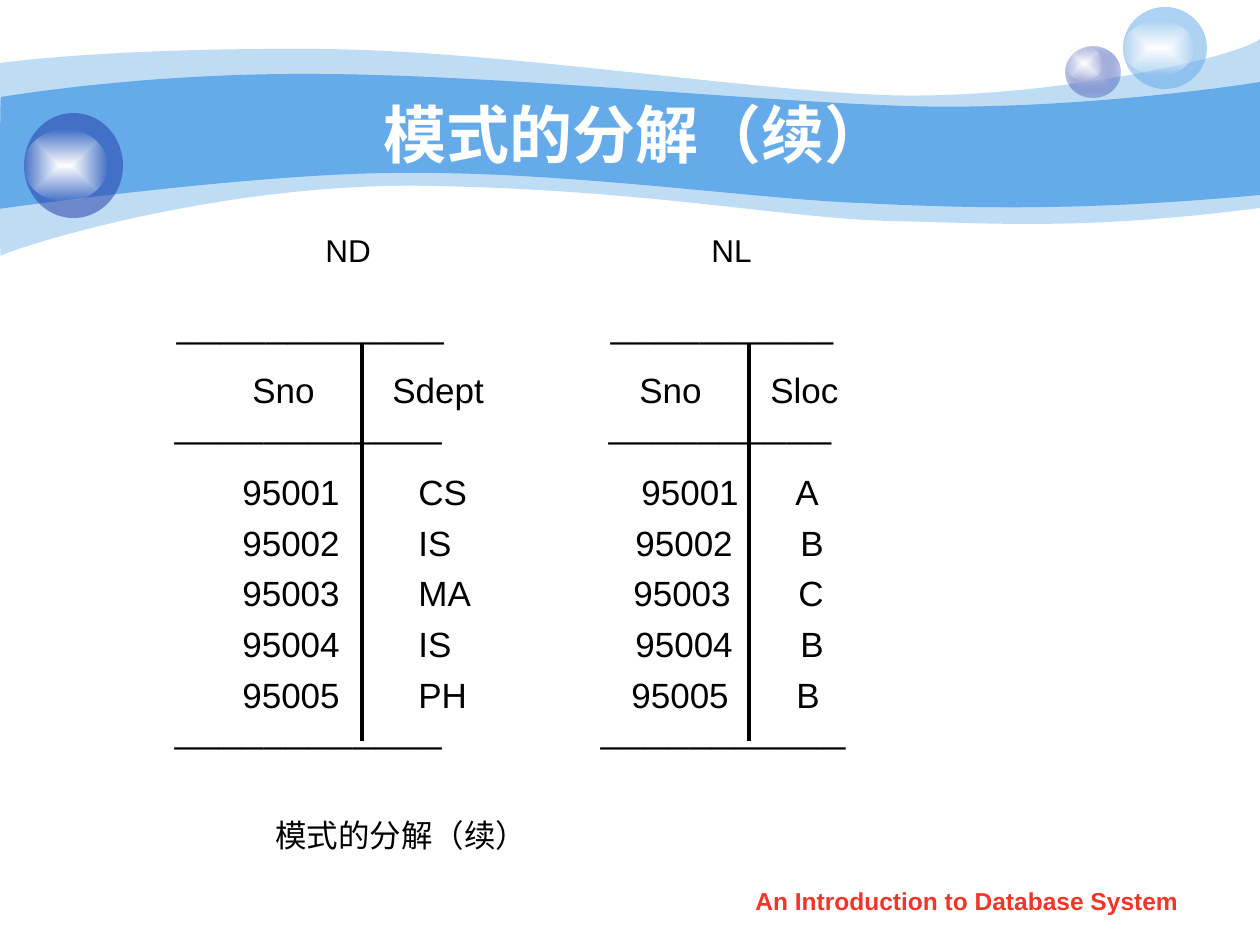
from dataclasses import dataclass

from lxml.etree import SubElement
from pptx import Presentation
from pptx.dml.color import RGBColor
from pptx.enum.shapes import MSO_CONNECTOR, MSO_SHAPE
from pptx.enum.text import MSO_ANCHOR, PP_ALIGN
from pptx.oxml import parse_xml
from pptx.oxml.ns import nsdecls, qn
from pptx.util import Pt

PX = 9144000 / 1260


@dataclass(frozen=True)
class Theme:
    font: str = "Arial"
    sky: str = "65AAE9"
    navy: str = "233DA9"
    lilac: str = "C6CCE8"
    white: str = "FFFFFF"
    glow_edge: str = "FEFEFE"
    black: str = "000000"
    red: str = "F03628"
    title_size: int = 36
    row_size: int = 20
    rule_size: int = 18
    footer_size: int = 14


THEME = Theme()
GLOW = ((THEME.white, 100), (THEME.glow_edge, 0))

# Each wave is a start point, then Bezier segments (6 numbers) or lines (2 numbers).
LIGHT_WAVE = ((0, 63), [
    (30, 59, 135, 48, 311, 49), (486, 49, 725, 88, 881, 95),
    (1036, 101, 1235, 59, 1260, 39), (1260, 208),
    (1081, 231, 992, 223, 888, 221), (784, 218, 649, 190, 432, 186),
    (217, 181, 5, 251, 1, 256), (-1, 262, 0, 95, 0, 63)])
DEEP_WAVE = ((1, 97), [
    (3, 97, 139, 73, 312, 74), (486, 74, 750, 101, 905, 106),
    (1060, 111, 1230, 87, 1260, 82), (1260, 195),
    (1075, 212, 964, 208, 859, 203), (755, 199, 563, 171, 399, 173),
    (256, 173, -3, 209, -1, 209), (0, 209, 0, 97, 1, 97)])

CAPTION_STOPS = (218, 604)
TOP_RULE_STOPS = (69, 503)
MIDDLE_RULE_STOPS = (67, 501)
BOTTOM_RULE_STOPS = (67, 493)
HEADER_STOPS = (145, 285, 532, 663)
DEPARTMENT_STOPS = (135, 311)
# Number, department, location, then the tab stops of the NL columns.
STUDENTS = [("95001", "CS", "A", (534, 688)), ("95002", "IS", "B", (528, 693)),
            ("95003", "MA", "C", (526, 691)), ("95004", "IS", "B", (528, 693)),
            ("95005", "PH", "B", (524, 689))]


def px(length):
    return round(length * PX)


def box(*lengths):
    return [px(length) for length in lengths]


def fill_solid(shape, color, opacity=100):
    shape.shadow.inherit = False
    shape.line.fill.background()
    shape.fill.solid()
    shape.fill.fore_color.rgb = RGBColor.from_string(color)
    if opacity < 100:
        tint = shape.element.spPr.find(qn("a:solidFill"))[0]
        SubElement(tint, qn("a:alpha"), val=str(opacity * 1000))


def fill_glow(shape, center, edge):
    """Fill from the middle outwards; each end is a colour and its opacity."""
    fill_solid(shape, center[0])
    stops = "".join(
        f'<a:gs pos="{position}"><a:srgbClr val="{color}">'
        f'<a:alpha val="{opacity * 1000}"/></a:srgbClr></a:gs>'
        for position, (color, opacity) in zip((0, 100000), (center, edge)))
    gradient = parse_xml(
        f'<a:gradFill {nsdecls("a")} rotWithShape="1"><a:gsLst>{stops}</a:gsLst>'
        '<a:path path="rect"><a:fillToRect l="50000" t="50000" r="50000" b="50000"/>'
        '</a:path></a:gradFill>')
    properties = shape.element.spPr
    properties.replace(properties.find(qn("a:solidFill")), gradient)


def add_wave(slide, outline, opacity=100):
    """Lay out anchors and handles as lines, then join each three into a curve."""
    start, segments = outline
    points = [point for segment in segments
              for point in zip(segment[::2], segment[1::2])]
    builder = slide.shapes.build_freeform(*start, scale=PX)
    builder.add_line_segments(points, close=False)
    wave = builder.convert_to_shape()
    lines = list(wave.element.spPr.iter(qn("a:lnTo")))
    contour = lines[0].getparent()
    for segment in segments:
        count = len(segment) // 2
        first, *others = lines[:count]
        lines = lines[count:]
        if others:
            curve = SubElement(contour, qn("a:cubicBezTo"))
            contour.replace(first, curve)
            curve.append(first[0])
            for handle in others:
                curve.append(handle[0])
                contour.remove(handle)
    SubElement(contour, qn("a:close"))
    fill_solid(wave, THEME.sky, opacity)


def add_ball(slide, body, shine):
    """Group a ball with the shine on it and return the ball."""
    group = slide.shapes.add_group_shape()
    ball, light = [group.shapes.add_shape(MSO_SHAPE.OVAL, *box(*place))
                   for place in (body, shine)]
    fill_glow(light, *GLOW)
    return ball


def add_divider(slide, x, top, bottom):
    divider = slide.shapes.add_connector(
        MSO_CONNECTOR.STRAIGHT, *box(x, top, x, bottom))
    divider.line.color.rgb = RGBColor.from_string(THEME.black)
    divider.line.width = Pt(2.25)
    SubElement(divider.element.spPr, qn("a:effectLst"))


def add_text_box(slide, *place):
    frame = slide.shapes.add_textbox(*box(*place)).text_frame
    frame.word_wrap = True
    return frame


def write(paragraph, text, size=THEME.rule_size, color=THEME.black, bold=False,
          align=PP_ALIGN.LEFT, before=0, after=0, spacing=None, stops=()):
    if stops:
        tabs = SubElement(paragraph._p.get_or_add_pPr(), qn("a:tabLst"))
        for stop in stops:
            SubElement(tabs, qn("a:tab"), pos=str(px(stop)), algn="l")
    paragraph.alignment = align
    paragraph.space_before = Pt(before)
    paragraph.space_after = Pt(after)
    if spacing:
        paragraph.line_spacing = spacing
    run = paragraph.add_run()
    run.text = text
    run.font.name = THEME.font
    run.font.size = Pt(size)
    run.font.bold = bold
    run.font.color.rgb = RGBColor.from_string(color)


def add_decoration(slide):
    add_wave(slide, LIGHT_WAVE, opacity=41)
    add_wave(slide, DEEP_WAVE)
    fill_glow(add_ball(slide, (1066, 47, 54, 51), (1066, 47, 36, 34)),
              (THEME.lilac, 100), (THEME.navy, 31))
    fill_solid(add_ball(slide, (1123, 7, 84, 82), (1123, 21, 71, 54)),
               THEME.sky, 53)
    fill_solid(add_ball(slide, (24, 113, 99, 105), (24, 130, 83, 71)),
               THEME.navy, 53)


def add_title(slide, text):
    title = slide.shapes.title
    title.left, title.top, title.width, title.height = box(126, 94, 1018, 78)
    title.text_frame.vertical_anchor = MSO_ANCHOR.MIDDLE
    write(title.text_frame.paragraphs[0], text, size=THEME.title_size,
          color=THEME.white, bold=True, align=PP_ALIGN.CENTER)
    title.element.getparent().append(title.element)  # in front of the waves


def add_relations(slide):
    """The relations ND and NL, side by side on shared tab stops."""
    frame = add_text_box(slide, 95, 225, 1082, 605)

    def add_line(cells, stops, **style):
        write(frame.add_paragraph(), "\t" + "\t".join(cells), stops=stops, **style)

    rules = ("─" * 12, "─" * 10)
    row_style = dict(size=THEME.row_size, before=5)
    write(frame.paragraphs[0], "\tND\tNL", stops=CAPTION_STOPS)
    add_line(rules, TOP_RULE_STOPS, before=30.4)
    add_line(("Sno", "Sdept", "Sno", "Sloc"), HEADER_STOPS, **row_style)
    add_line(rules, MIDDLE_RULE_STOPS, before=6.5, after=1)
    for number, department, location, location_stops in STUDENTS:
        add_line((number, department, number, location),
                 DEPARTMENT_STOPS + location_stops, **row_style)
    add_line(("─" * 12, "─" * 11), BOTTOM_RULE_STOPS, before=6.5)
    for x in (362, 749):
        add_divider(slide, x, 344, 741)


def main():
    deck = Presentation()
    deck.slide_width, deck.slide_height = box(1260, 945)
    slide = deck.slides.add_slide(deck.slide_layouts[5])
    add_decoration(slide)
    add_title(slide, "模式的分解（续）")
    add_relations(slide)
    write(add_text_box(slide, 263, 814, 372, 47).paragraphs[0],
          "模式的分解（续）", spacing=0.9)
    write(add_text_box(slide, 719, 880, 496, 44).paragraphs[0],
          "An Introduction to Database System", size=THEME.footer_size,
          color=THEME.red, bold=True, align=PP_ALIGN.CENTER)
    deck.save("out.pptx")


if __name__ == "__main__":
    main()
